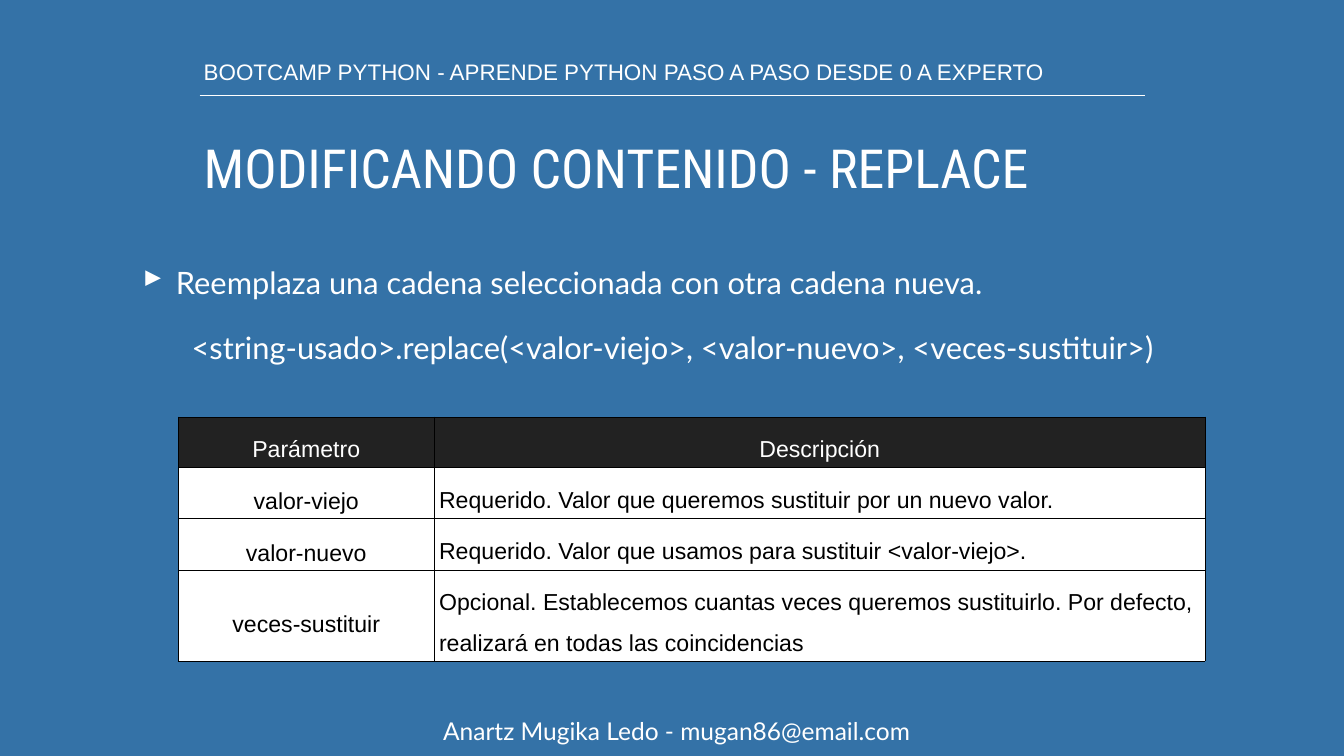
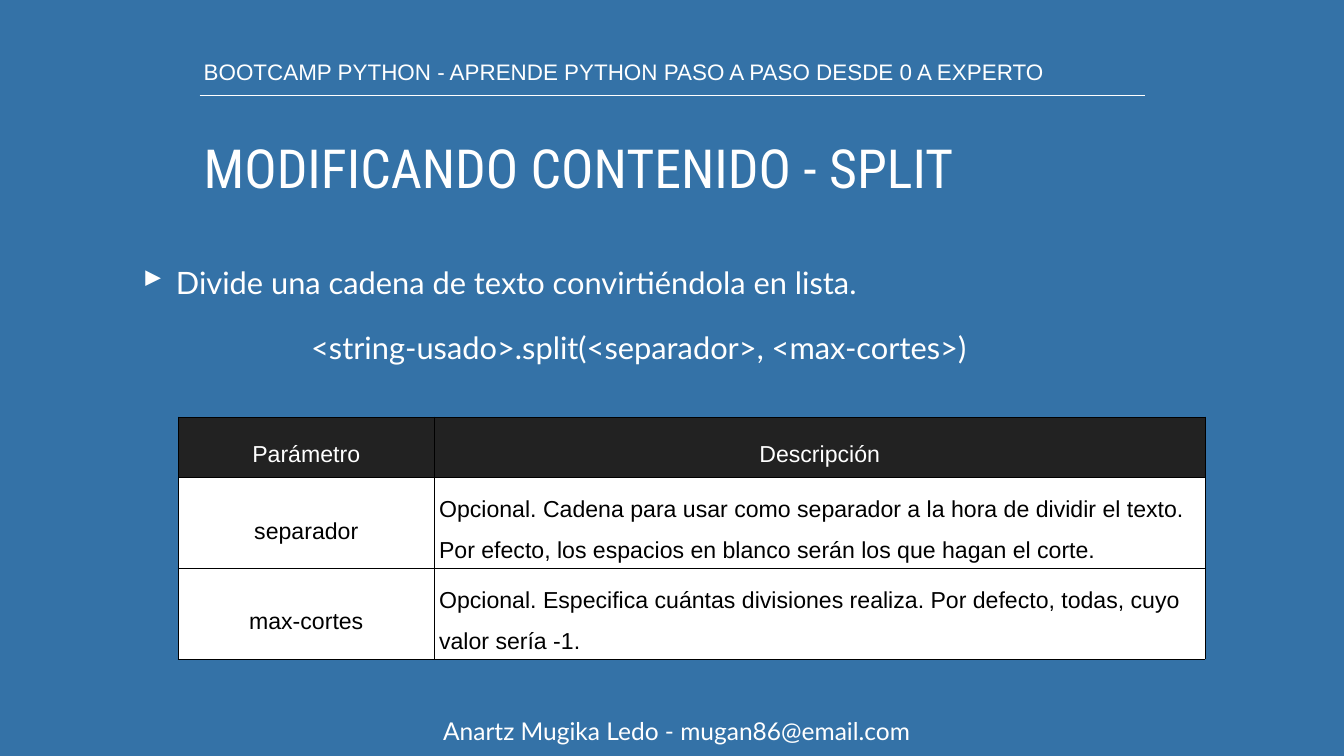
from dataclasses import dataclass

from lxml import etree
from pptx import Presentation
from pptx import util as u
from pptx.dml.color import RGBColor
from pptx.enum import shapes, text
from pptx.oxml import ns


@dataclass(frozen=True)
class Theme:
    """Colours, fonts and type sizes shared by the slides."""
    blue: str = "3472A7"
    white: str = "FFFFFF"
    black: str = "000000"
    dark: str = "222222"
    sans: str = "Arial"
    body: str = "Lato"
    display: str = "Roboto Condensed"
    course_size: int = 32
    title_size: int = 77
    body_size: int = 44
    table_size: int = 33
    footer_size: int = 35
    rule_width: float = 2
    border_width: float = 0.45


@dataclass(frozen=True)
class Box:
    """A rectangle in inches."""
    left: float
    top: float
    width: float
    height: float

    def inner(self, left, top, width, height):
        """Return a box placed relative to this one."""
        return Box(self.left + left, self.top + top, width, height)

    def lengths(self):
        """Return the four measures as slide lengths."""
        return [u.Inches(value) for value in (self.left, self.top, self.width, self.height)]


THEME = Theme()
SLIDE = Box(0, 0, 26.66, 15)
HEADER = Box(3.96, 1.19, 19.51, 2.87)
BODY = Box(2.75, 5.15, 22.35, 2.18)
TABLE = Box(3.53, 8.27, 20.37, 4.92)
FOOTER = Box(0.21, 14.29, 26.43, 0.56)

COURSE = "BOOTCAMP PYTHON - APRENDE PYTHON PASO A PASO DESDE 0 A EXPERTO"
AUTHOR = "Anartz Mugika Ledo - mugan86@email.com"
COLUMNS = (5.09, 15.28)
HEADINGS = ("Parámetro", "Descripción")
INSET = 0.08
LINE_HEIGHT = 0.89
SIDES = ("left", "top", "right", "bottom")

METHODS = [
    {
        "title": "MODIFICANDO CONTENIDO - REPLACE",
        "summary": "Reemplaza una cadena seleccionada con otra cadena nueva.",
        "syntax": "<string-usado>.replace(<valor-viejo>, <valor-nuevo>, <veces-sustituir>)",
        "syntax_span": (0.97, 20.4),
        "row_heights": (0.99, 1.03, 1.03, 1.8),
        "parameters": [
            ("valor-viejo", "Requerido. Valor que queremos sustituir por un nuevo valor."),
            ("valor-nuevo", "Requerido. Valor que usamos para sustituir <valor-viejo>."),
            ("veces-sustituir", "Opcional. Establecemos cuantas veces queremos sustituirlo. "
                                "Por defecto, realizará en todas las coincidencias"),
        ],
    },
    {
        "title": "MODIFICANDO CONTENIDO - SPLIT",
        "summary": "Divide una cadena de texto convirtiéndola en lista.",
        "syntax": "<string-usado>.split(<separador>, <max-cortes>)",
        "syntax_span": (3.34, 14.11),
        "row_heights": (1.2, 1.8, 1.8),
        "parameters": [
            ("separador", "Opcional. Cadena para usar como separador a la hora de dividir el "
                          "texto. Por efecto, los espacios en blanco serán los que hagan el corte."),
            ("max-cortes", "Opcional. Especifica cuántas divisiones realiza. "
                           "Por defecto, todas, cuyo valor sería -1."),
        ],
    },
]


def apply(target, values):
    """Set each named attribute of the target."""
    for name, value in values.items():
        setattr(target, name, value)


def add_xml(parent, tag, **attributes):
    """Append a DrawingML element and return it."""
    return etree.SubElement(parent, ns.qn(f"a:{tag}"), attributes)


def write(para, words, font, size, color, **layout):
    """Write one formatted span into a paragraph."""
    apply(para, layout)
    span = para.add_run()
    span.text = words
    apply(span.font, {"name": font, "size": u.Pt(size)})
    span.font.color.rgb = RGBColor.from_string(color)


def add_text(page, box, words, font, size, frame=None, **layout):
    """Add a white text box and return its paragraph."""
    area = page.shapes.add_textbox(*box.lengths()).text_frame
    apply(area, {f"margin_{side}": u.Inches(INSET) for side in SIDES})
    apply(area, {"word_wrap": True, "auto_size": text.MSO_AUTO_SIZE.SHAPE_TO_FIT_TEXT,
                 **(frame or {})})
    para = area.paragraphs[0]
    write(para, words, font, size, THEME.white, **layout)
    return para


def add_header(page, box, title):
    """Place the course name, its rule and the slide title."""
    add_text(page, box.inner(0, 0, 17.19, 0.58), COURSE, THEME.sans, THEME.course_size,
             {"vertical_anchor": text.MSO_ANCHOR.BOTTOM}, line_spacing=0.8)
    left, top, width, _ = box.inner(0, 0.71, 18.75, 0).lengths()
    rule = page.shapes.add_connector(shapes.MSO_CONNECTOR.STRAIGHT, left, top, left + width, top)
    rule.line.color.rgb = RGBColor.from_string(THEME.white)
    rule.line.width = u.Pt(THEME.rule_width)
    add_xml(rule._element.spPr, "effectLst")
    add_text(page, box.inner(0, 1.64, box.width, 1.23), title, THEME.display, THEME.title_size,
             {"auto_size": text.MSO_AUTO_SIZE.NONE}, line_spacing=0.8, space_before=u.Pt(36))


def add_bullet(para, mark, indent):
    """Give a paragraph a hanging bullet."""
    props = para._p.get_or_add_pPr()
    props.set("marL", str(u.Inches(indent)))
    props.set("indent", str(-u.Inches(indent)))
    add_xml(add_xml(props, "buClr"), "srgbClr", val=THEME.white)
    add_xml(props, "buSzPct", val="104000")
    add_xml(props, "buChar", char=mark)


def add_body(page, box, method):
    """Place the summary bullet above the call syntax."""
    middle = {"vertical_anchor": text.MSO_ANCHOR.MIDDLE}
    style = (THEME.body, THEME.body_size)
    summary = add_text(page, box.inner(0, 0, box.width, LINE_HEIGHT), method["summary"],
                       *style, middle, space_before=u.Pt(10))
    add_bullet(summary, "▸", 0.66)
    left, width = method["syntax_span"]
    add_text(page, box.inner(left, box.height - LINE_HEIGHT, width, LINE_HEIGHT),
             method["syntax"], *style, {**middle, "word_wrap": False}, space_before=u.Pt(10))


def style_cell(cell, fill):
    """Give a cell its borders, fill and middle anchor."""
    props = cell._tc.get_or_add_tcPr()
    for side in "LRTB":
        border = add_xml(props, f"ln{side}", w=str(u.Pt(THEME.border_width)))
        add_xml(add_xml(border, "solidFill"), "srgbClr", val=THEME.black)
    cell.fill.solid()
    cell.fill.fore_color.rgb = RGBColor.from_string(fill)
    margins = {f"margin_{side}": u.Inches(inset)
               for side, inset in zip(SIDES, (0.09, 0.05, 0.09, 0.05))}
    apply(cell, {"vertical_anchor": text.MSO_ANCHOR.MIDDLE, **margins})


def add_parameters(page, box, method):
    """Place the table of parameters and descriptions."""
    rows = [HEADINGS, *method["parameters"]]
    grid = page.shapes.add_table(len(rows), len(COLUMNS), *box.lengths()).table
    grid.horz_banding = False
    for column, width in zip(grid.columns, COLUMNS):
        column.width = u.Inches(width)
    for row, height in zip(grid.rows, method["row_heights"]):
        row.height = u.Inches(height)
    centred = {"alignment": text.PP_ALIGN.CENTER}
    heading = {**centred, "line_spacing": u.Pt(58)}
    name = {**centred, "line_spacing": u.Pt(61), "space_before": u.Pt(18)}
    description = {"alignment": text.PP_ALIGN.LEFT, "line_spacing": u.Pt(58)}
    for r, row in enumerate(rows):
        fill, color = (THEME.white, THEME.black) if r else (THEME.dark, THEME.white)
        layouts = (name, description) if r else (heading, heading)
        for c, (words, layout) in enumerate(zip(row, layouts)):
            cell = grid.cell(r, c)
            style_cell(cell, fill)
            write(cell.text_frame.paragraphs[0], words, THEME.sans, THEME.table_size,
                  color, **layout)


def add_footer(page, box):
    """Place the centred author line."""
    add_text(page, box, AUTHOR, THEME.body, THEME.footer_size,
             {"vertical_anchor": text.MSO_ANCHOR.BOTTOM}, alignment=text.PP_ALIGN.CENTER,
             line_spacing=0.7, space_before=u.Pt(39))


def add_method_slide(deck, method):
    """Build the slide that explains one string method."""
    page = deck.slides.add_slide(deck.slide_layouts[6])
    page.background.fill.solid()
    page.background.fill.fore_color.rgb = RGBColor.from_string(THEME.blue)
    add_footer(page, FOOTER)
    add_header(page, HEADER, method["title"])
    add_body(page, BODY, method)
    add_parameters(page, TABLE, method)


def main():
    """Build and save the deck."""
    deck = Presentation()
    apply(deck, {"slide_width": u.Inches(SLIDE.width), "slide_height": u.Inches(SLIDE.height)})
    for method in METHODS:
        add_method_slide(deck, method)
    deck.save("out.pptx")


if __name__ == "__main__":
    main()
